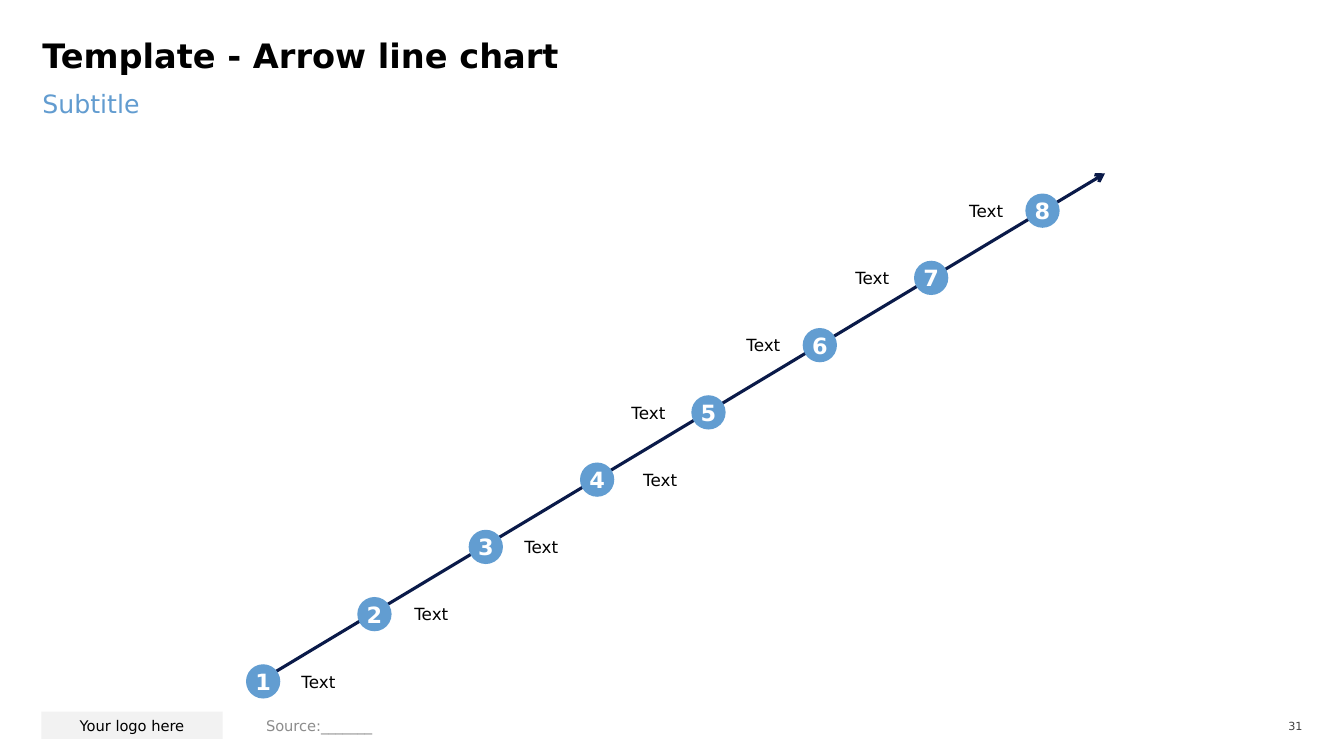
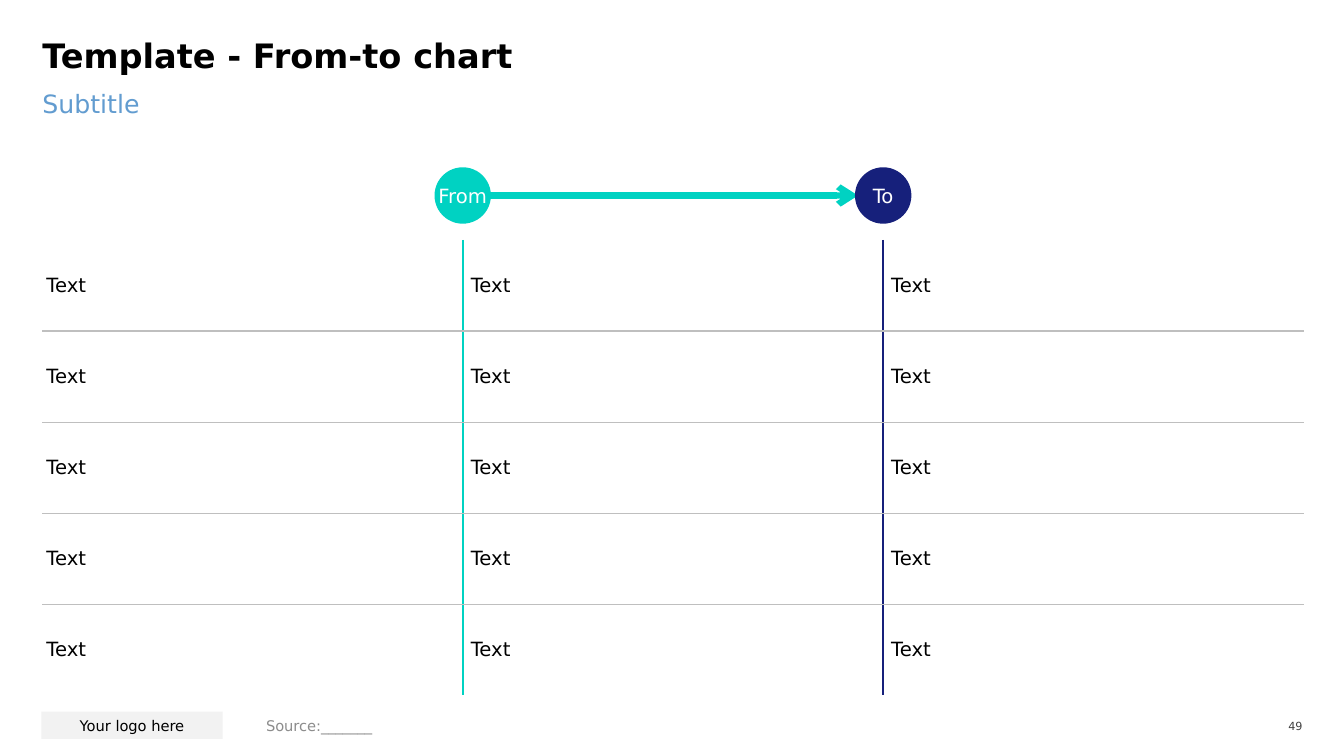
from lxml import etree
from pptx import Presentation
from pptx.dml.color import RGBColor
from pptx.enum.shapes import MSO_CONNECTOR, MSO_SHAPE
from pptx.enum.text import MSO_ANCHOR, MSO_AUTO_SIZE, PP_ALIGN
from pptx.oxml.ns import qn
from pptx.util import Inches, Pt

FONT = "DejaVu Sans"
COLORS = {
    "black": "000000",
    "white": "FFFFFF",
    "subtitle": "629CD0",
    "step": "629DD1",
    "trend": "0A1A49",
    "teal": "00D2C2",
    "navy": "16207B",
    "rule": "BFBFBF",
    "logo": "F2F2F2",
    "source": "8C8C8C",
    "number": "404040",
}
NO_STYLE_NO_GRID = "{2D5ABB26-0587-4C30-8999-92F81FD0307C}"
MARGIN = 0.42

# Rising line: first and last marker, label left edges
MARKER_SIZE = 0.34
FIRST_MARKER = (2.44, 6.59)
LAST_MARKER = (10.17, 1.92)
LABEL_LEFTS = [2.99, 4.11, 5.2, 6.38, 5.13, 6.27, 7.35, 8.48]
LABELS_BELOW_LINE = 4

# From-to table
ROWS, COLUMNS = 5, 3
TABLE_TOP, TABLE_WIDTH, TABLE_HEIGHT = 2.38, 12.51, 4.52
DIVIDERS = ["teal", "navy"]
END_SIZE, END_TOP = 0.56, 1.66


def color(name):
    return RGBColor.from_string(COLORS[name])


def write(frame, text, size, ink="black", bold=False, align=PP_ALIGN.LEFT,
          anchor=MSO_ANCHOR.MIDDLE, inset=0, wrap=True):
    """Fill a text frame with one formatted paragraph and return it."""
    frame.text = text
    frame.word_wrap = wrap
    frame.auto_size = MSO_AUTO_SIZE.NONE
    frame.vertical_anchor = anchor
    frame.margin_left = frame.margin_right = Inches(inset)
    frame.margin_top = frame.margin_bottom = Inches(min(inset, 0.05))
    para = frame.paragraphs[0]
    para.alignment = align
    style_runs(para, size, ink, bold)
    return para


def style_runs(para, size, ink, bold=False):
    for span in para.runs:
        span.font.name = FONT
        span.font.size = Pt(size)
        span.font.bold = bold
        span.font.color.rgb = color(ink)


def place(shape, left, top, width, height):
    shape.left, shape.top = Inches(left), Inches(top)
    shape.width, shape.height = Inches(width), Inches(height)


def add_text(page, left, top, width, height, text, size, **style):
    box = page.shapes.add_textbox(
        Inches(left), Inches(top), Inches(width), Inches(height))
    write(box.text_frame, text, size, **style)


def add_filled(page, kind, left, top, width, height, fill, text, size, **style):
    shape = page.shapes.add_shape(
        kind, Inches(left), Inches(top), Inches(width), Inches(height))
    shape.shadow.inherit = False
    shape.fill.solid()
    shape.fill.fore_color.rgb = color(fill)
    shape.line.fill.background()
    write(shape.text_frame, text, size, align=PP_ALIGN.CENTER, **style)


def add_circle(page, left, top, diameter, fill, text, size, bold=False):
    add_filled(page, MSO_SHAPE.OVAL, left, top, diameter, diameter, fill,
               text, size, ink="white", bold=bold, wrap=False)


def add_arrow(page, start, end, ink, weight):
    arrow = page.shapes.add_connector(
        MSO_CONNECTOR.STRAIGHT, *[Inches(value) for value in (*start, *end)])
    arrow.line.color.rgb = color(ink)
    arrow.line.width = Pt(weight)
    etree.SubElement(arrow.line._get_or_add_ln(), qn("a:tailEnd"), type="arrow")
    etree.SubElement(arrow._element.spPr, qn("a:effectLst"))


def add_page(deck, title, number):
    """Add a slide with title, subtitle, logo field, source and page number."""
    page = deck.slides.add_slide(deck.slide_layouts[1])

    # Title and subtitle
    heading, subtitle = page.shapes.title, page.placeholders[1]
    place(heading, MARGIN, 0.42, 12.49, 0.53)
    para = write(heading.text_frame, title, 24, bold=True, anchor=MSO_ANCHOR.TOP)
    para.line_spacing = 0.8
    place(subtitle, MARGIN, 0.88, 12.49, 0.63)
    para = write(subtitle.text_frame, "Subtitle", 18, ink="subtitle",
                 anchor=MSO_ANCHOR.TOP)
    properties = para._p.get_or_add_pPr()
    properties.set("marL", "0")
    properties.set("indent", "0")
    etree.SubElement(properties, qn("a:buNone"))
    para.space_before = Pt(0)
    para.space_after = Pt(12)

    # Footer
    add_filled(page, MSO_SHAPE.RECTANGLE, 0.41, 7.06, 1.8, 0.27, "logo",
               "Your logo here", 10.5, inset=0.1)
    add_text(page, 2.54, 7.07, 6.39, 0.26, "Source:_______", 10.5,
             ink="source", inset=0.1)
    add_text(page, 12.5, 7.09, 0.42, 0.23, str(number), 8,
             ink="number", align=PP_ALIGN.RIGHT)
    return page


def set_border(cell, side, ink, weight):
    line = etree.SubElement(cell._tc.get_or_add_tcPr(), qn(f"a:ln{side}"),
                            w=str(Pt(weight)))
    fill = etree.SubElement(line, qn("a:solidFill"))
    etree.SubElement(fill, qn("a:srgbClr"), val=COLORS[ink])


def format_cell(cell, row, column):
    cell.text = "Text"
    style_runs(cell.text_frame.paragraphs[0], 14, "black")
    cell.vertical_anchor = MSO_ANCHOR.MIDDLE
    cell.margin_left = Inches(0.08 if column else 0.04)
    cell.margin_right = cell.margin_top = cell.margin_bottom = Inches(0.04)
    # Inner edges only; the schema wants left, right, top, bottom, then fill
    if column > 0:
        set_border(cell, "L", DIVIDERS[column - 1], 1.5)
    if column < COLUMNS - 1:
        set_border(cell, "R", DIVIDERS[column], 1.5)
    if row > 0:
        set_border(cell, "T", "rule", 1)
    if row < ROWS - 1:
        set_border(cell, "B", "rule", 1)
    cell.fill.background()


def add_grid(page):
    table = page.shapes.add_table(
        ROWS, COLUMNS, Inches(MARGIN), Inches(TABLE_TOP),
        Inches(TABLE_WIDTH), Inches(TABLE_HEIGHT)).table
    table.first_row = table.horz_banding = False
    table._tbl.tblPr.find(qn("a:tableStyleId")).text = NO_STYLE_NO_GRID
    for row in range(ROWS):
        for column in range(COLUMNS):
            format_cell(table.cell(row, column), row, column)


def build_arrow_line(deck):
    page = add_page(deck, "Template - Arrow line chart", 31)
    add_arrow(page, (2.54, 6.78), (10.96, 1.72), "trend", 2.25)
    steps = len(LABEL_LEFTS) - 1
    for index, label_left in enumerate(LABEL_LEFTS):
        left, top = [first + (last - first) * index / steps
                     for first, last in zip(FIRST_MARKER, LAST_MARKER)]
        add_circle(page, left, top, MARKER_SIZE, "step", str(index + 1), 16,
                   bold=True)
        below = index < LABELS_BELOW_LINE
        add_text(page, label_left, top + 0.07, 1.47, 0.2, "Text", 12,
                 align=PP_ALIGN.LEFT if below else PP_ALIGN.RIGHT)


def build_from_to(deck):
    page = add_page(deck, "Template - From-to chart", 49)
    add_grid(page)
    middle = END_TOP + END_SIZE / 2
    add_arrow(page, (4.84, middle), (8.51, middle), "teal", 4.5)
    # Each circle is centred on its column divider
    for index, (text, fill) in enumerate(zip(["From", "To"], DIVIDERS), 1):
        divider = MARGIN + TABLE_WIDTH / COLUMNS * index
        add_circle(page, divider - END_SIZE / 2, END_TOP, END_SIZE, fill, text, 14)


def main():
    deck = Presentation()
    deck.slide_width, deck.slide_height = Inches(13.33), Inches(7.5)
    build_arrow_line(deck)
    build_from_to(deck)
    deck.save("out.pptx")


if __name__ == "__main__":
    main()
